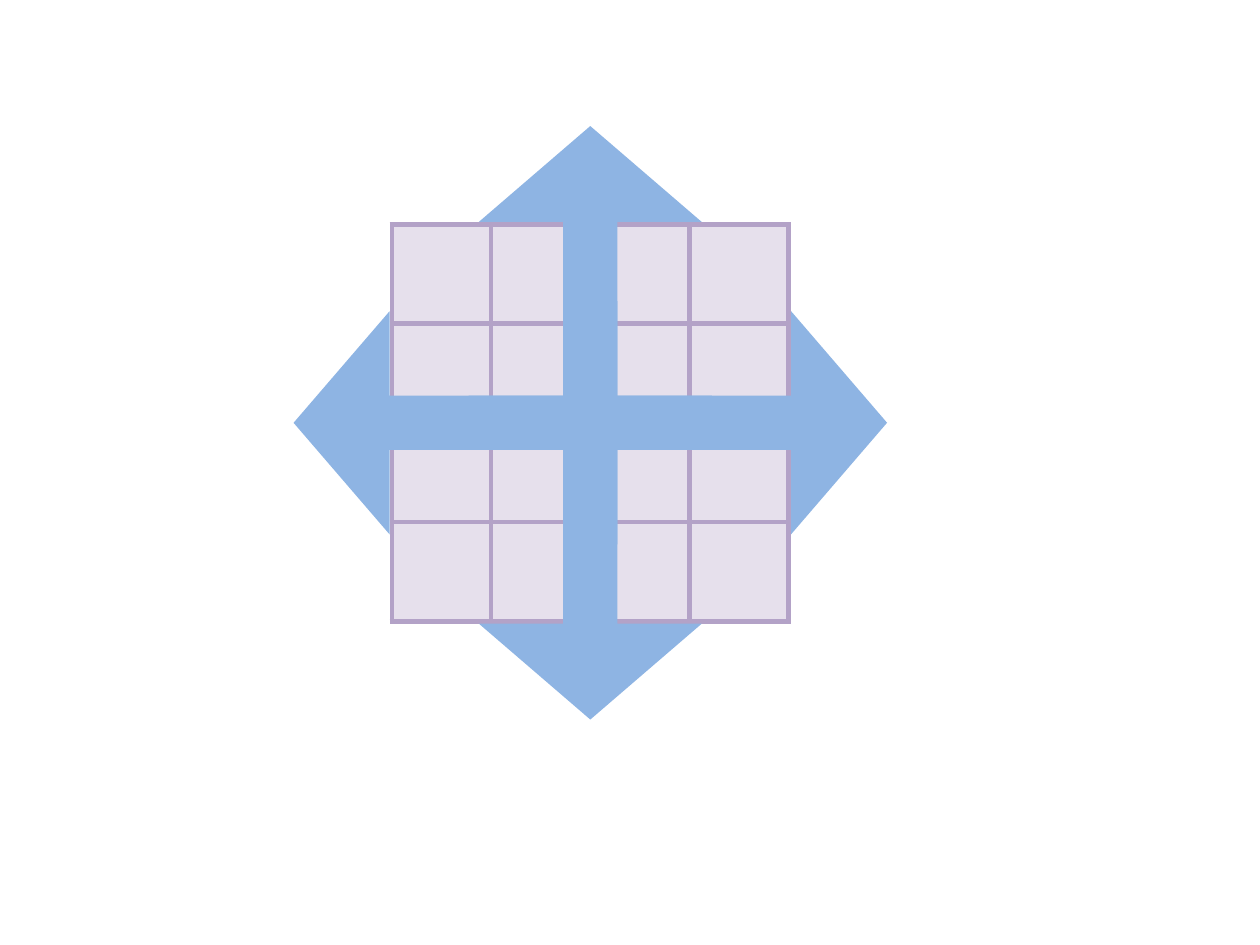
from lxml.etree import SubElement
from pptx import Presentation
from pptx.dml.color import RGBColor
from pptx.enum.shapes import MSO_SHAPE
from pptx.oxml.ns import qn
from pptx.util import Pt

LILAC = RGBColor(0xE6, 0xE0, 0xEC)
PURPLE = RGBColor(0xB3, 0xA2, 0xC7)
BLUE = RGBColor(0x8E, 0xB4, 0xE3)

BLANK_LAYOUT = 6
CENTER_X, CENTER_Y = 337.32, 241.6
GRID_COUNT, CELL_SIZE, BORDER_WIDTH = 4, 56.7, 3
ARROW_WIDTH, ARROW_HEIGHT = 239.04, 127.44
ARROW_OFFSET = 50.04
SHAFT_RATIO, HEAD_RATIO = 0.243, 0.43
# Rotation in degrees with the unit direction of each arrow
DIRECTIONS = ((0, 1, 0), (180, -1, 0), (90, 0, 1), (270, 0, -1))


def add_borders(cell):
    """Draw a solid purple border on all four sides of a cell."""
    properties = cell._tc.get_or_add_tcPr()
    for side in ("a:lnL", "a:lnR", "a:lnT", "a:lnB"):
        line = SubElement(properties, qn(side), w=str(Pt(BORDER_WIDTH)))
        fill = SubElement(line, qn("a:solidFill"))
        SubElement(fill, qn("a:srgbClr"), val=str(PURPLE))


def add_grid(page):
    """Add the square table of empty lilac cells around the center."""
    size = GRID_COUNT * CELL_SIZE
    frame = page.shapes.add_table(
        GRID_COUNT, GRID_COUNT, Pt(CENTER_X - size / 2),
        Pt(CENTER_Y - size / 2), Pt(size), Pt(size))
    table = frame.table
    table.first_row = False
    table.horz_banding = False
    for column in table.columns:
        column.width = Pt(CELL_SIZE)
    for row in table.rows:
        row.height = Pt(CELL_SIZE)
        for cell in row.cells:
            add_borders(cell)
            cell.fill.solid()
            cell.fill.fore_color.rgb = LILAC


def add_arrow(group, rotation, step_x, step_y):
    """Add one arrow that points outward from the center."""
    left = CENTER_X + step_x * ARROW_OFFSET - ARROW_WIDTH / 2
    top = CENTER_Y + step_y * ARROW_OFFSET - ARROW_HEIGHT / 2
    arrow = group.shapes.add_shape(
        MSO_SHAPE.RIGHT_ARROW, Pt(left), Pt(top),
        Pt(ARROW_WIDTH), Pt(ARROW_HEIGHT))
    arrow.rotation = rotation
    arrow.adjustments[0] = SHAFT_RATIO
    arrow.adjustments[1] = HEAD_RATIO
    arrow.fill.solid()
    arrow.fill.fore_color.rgb = BLUE
    arrow.line.fill.background()
    arrow.shadow.inherit = False


def main():
    """Build the slide with the grid and the four-way arrow."""
    deck = Presentation()
    deck.slide_width, deck.slide_height = Pt(720), Pt(540)
    page = deck.slides.add_slide(deck.slide_layouts[BLANK_LAYOUT])
    add_grid(page)
    arrows = page.shapes.add_group_shape()
    for rotation, step_x, step_y in DIRECTIONS:
        add_arrow(arrows, rotation, step_x, step_y)
    deck.save("out.pptx")


main()
